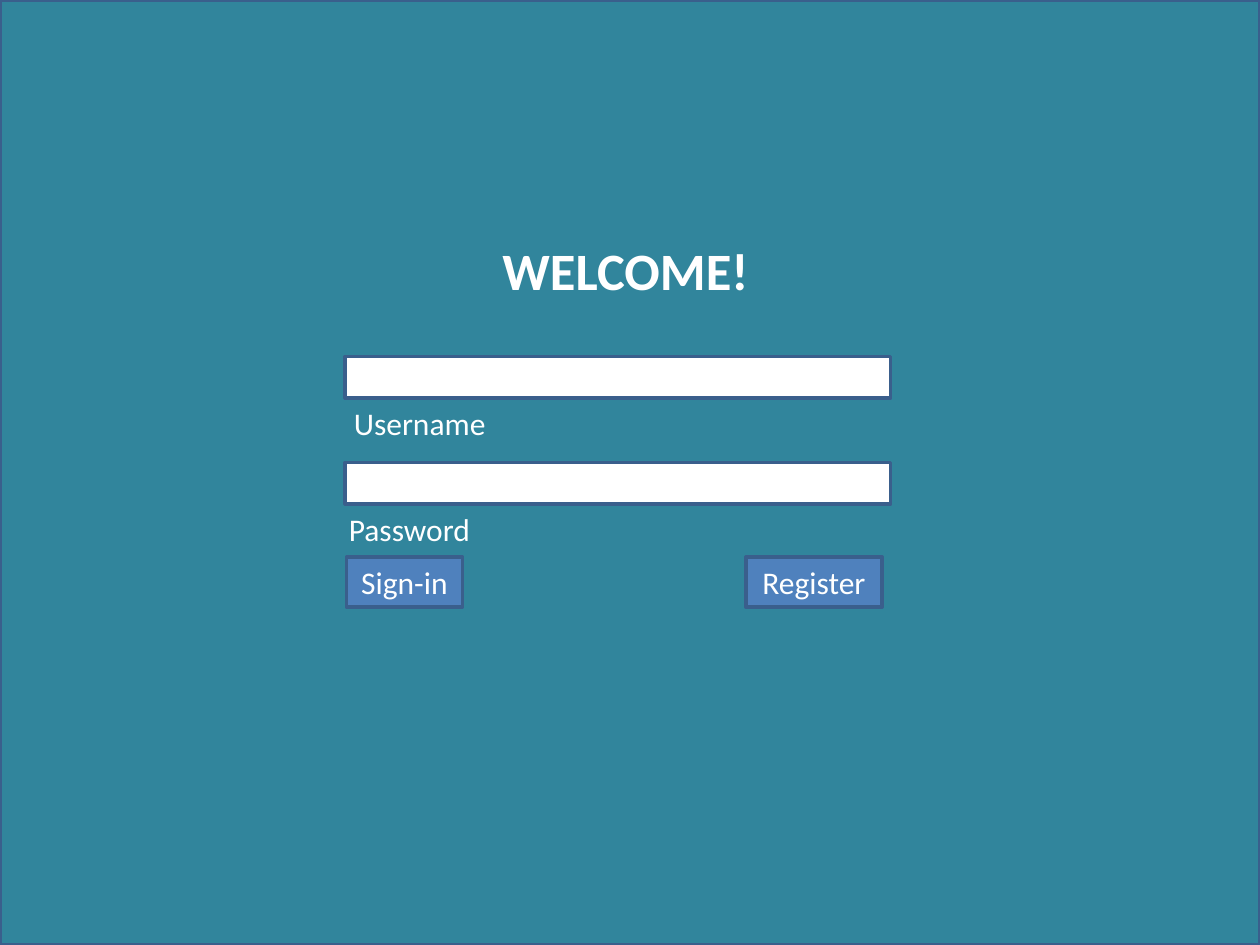
from dataclasses import dataclass

from pptx import Presentation
from pptx.dml.color import RGBColor
from pptx.enum.shapes import MSO_SHAPE
from pptx.enum.text import MSO_ANCHOR, MSO_AUTO_SIZE, PP_ALIGN
from pptx.util import Inches, Pt

TEAL, BLUE, NAVY, WHITE = "31859C", "4F81BD", "3A5F8C", "FFFFFF"


@dataclass
class Field:
    label: str
    top: float
    label_left: float


@dataclass
class Button:
    label: str
    left: float
    width: float


FIELD_LEFT, FIELD_WIDTH, FIELD_HEIGHT = 2.74, 4.33, 0.33
LABEL_WIDTH, ROW_HEIGHT, BUTTON_TOP = 1.79, 0.4, 4.42
FIELDS = [Field("Username", 2.83, 2.71), Field("Password", 3.67, 2.67)]
BUTTONS = [Button("Sign-in", 2.75, 0.92), Button("Register", 5.92, 1.08)]


def color(value: str) -> RGBColor:
    return RGBColor.from_string(value)


def write(box, text: str, size: float = 18, bold: bool = False,
          align=PP_ALIGN.LEFT, anchor=MSO_ANCHOR.TOP) -> None:
    frame = box.text_frame
    frame.word_wrap = True
    frame.auto_size = MSO_AUTO_SIZE.SHAPE_TO_FIT_TEXT
    frame.vertical_anchor = anchor
    para = frame.paragraphs[0]
    para.alignment = align
    span = para.add_run()
    span.text = text
    span.font.name = "Calibri"
    span.font.size = Pt(size)
    span.font.bold = bold
    span.font.color.rgb = color(WHITE)


def add_rectangle(page, left: float, top: float, width: float, height: float, fill: str):
    box = page.shapes.add_shape(MSO_SHAPE.RECTANGLE, Inches(left), Inches(top),
                                Inches(width), Inches(height))
    box.shadow.inherit = False
    box.fill.solid()
    box.fill.fore_color.rgb = color(fill)
    box.line.color.rgb = color(NAVY)
    box.line.width = Pt(2)
    return box


def add_field(page, field: Field) -> None:
    """Draw an input box with its label directly below."""
    add_rectangle(page, FIELD_LEFT, field.top, FIELD_WIDTH, FIELD_HEIGHT, WHITE)
    label = page.shapes.add_textbox(Inches(field.label_left), Inches(field.top + FIELD_HEIGHT),
                                    Inches(LABEL_WIDTH), Inches(ROW_HEIGHT))
    write(label, field.label)


def add_button(page, button: Button) -> None:
    box = add_rectangle(page, button.left, BUTTON_TOP, button.width, ROW_HEIGHT, BLUE)
    write(box, button.label, align=PP_ALIGN.CENTER)


def main() -> None:
    deck = Presentation()
    deck.slide_width, deck.slide_height = Inches(10), Inches(7.5)
    page = deck.slides.add_slide(deck.slide_layouts[5])

    title = page.shapes.title
    title.left, title.top = Inches(3.76), Inches(1.84)
    title.width, title.height = Inches(2.41), Inches(0.61)
    write(title, "WELCOME!", size=30, bold=True, align=PP_ALIGN.CENTER)

    backdrop = add_rectangle(page, 0, 0, 10, 7.5, TEAL)
    title.element.addprevious(backdrop.element)  # keep the title in front

    for field in FIELDS:
        add_field(page, field)
    for button in BUTTONS:
        add_button(page, button)

    deck.save("out.pptx")


if __name__ == "__main__":
    main()
